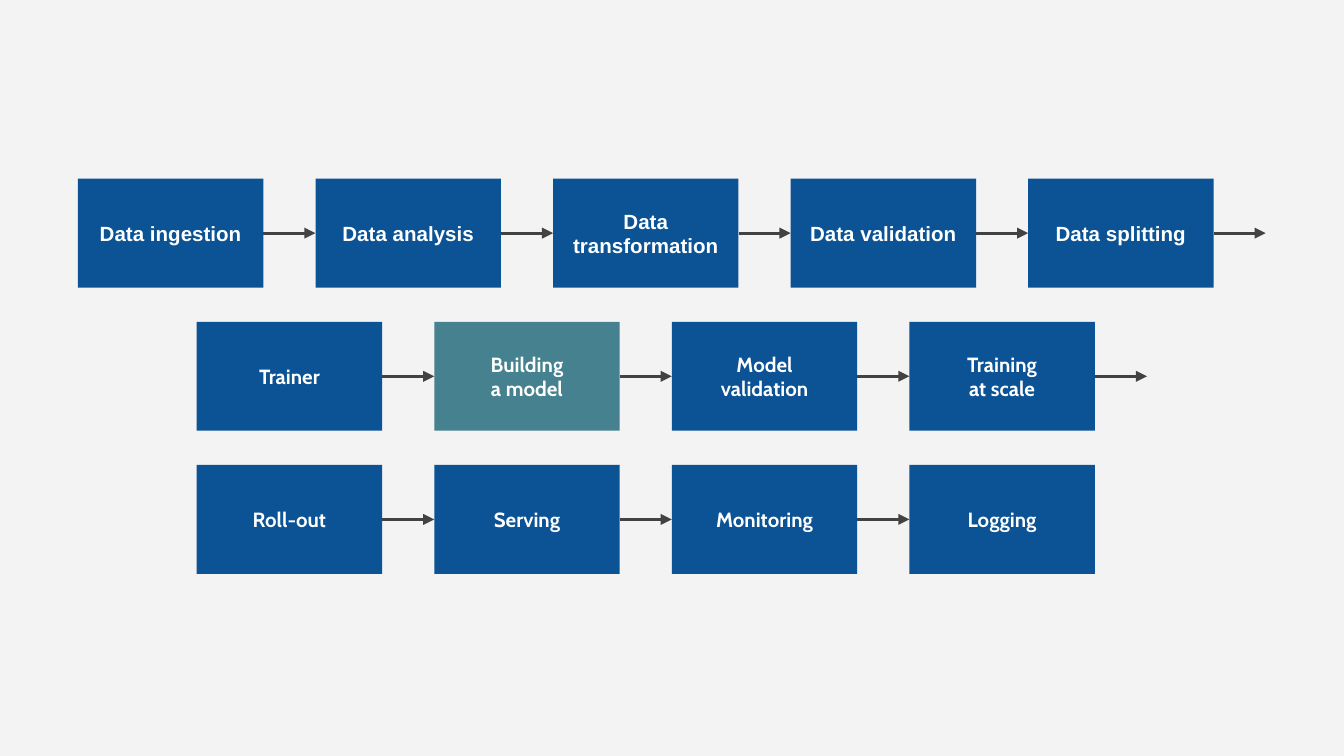
from pptx import Presentation
from pptx.dml.color import RGBColor
from pptx.enum.shapes import MSO_CONNECTOR as Connector, MSO_SHAPE as Shape
from pptx.enum.text import MSO_ANCHOR as Anchor, PP_ALIGN as Align
from pptx.oxml.ns import qn
from pptx.util import Inches, Pt
from lxml.etree import SubElement

BACKGROUND = RGBColor(0xF3, 0xF3, 0xF3)
BLUE = RGBColor(0x0B, 0x53, 0x94)
TEAL = RGBColor(0x45, 0x81, 0x8E)
WHITE = RGBColor(0xFF, 0xFF, 0xFF)
GRAY = RGBColor(0x42, 0x42, 0x42)

CURRENT_STEP = "Building\na model"
STAGES = [
    (0, "Arial", True, ["Data ingestion", "Data analysis", "Data transformation",
                        "Data validation", "Data splitting"]),
    (0.5, "Cabin", True, ["Trainer", CURRENT_STEP, "Model\nvalidation",
                          "Training\nat scale"]),
    (0.5, "Cabin", False, ["Roll-out", "Serving", "Monitoring", "Logging"]),
]


class PipelineSlide:
    """Draws steps and arrows on a grid of columns and rows."""

    left, right_column = 0.58, 7.65
    top, bottom_row = 1.33, 3.46
    column_pitch = (right_column - left) / 4
    row_pitch = (bottom_row - top) / 2
    step_width, step_height = 1.38, 0.81
    inset = Inches(0.07)
    text_size = Pt(11)

    def __init__(self, deck):
        self.slide = deck.slides.add_slide(deck.slide_layouts[6])
        fill = self.slide.background.fill
        fill.solid()
        fill.fore_color.rgb = BACKGROUND

    def corner(self, column, row):
        return self.left + column * self.column_pitch, self.top + row * self.row_pitch

    def step(self, column, row, label, font, color):
        x, y = self.corner(column, row)
        box = self.slide.shapes.add_shape(
            Shape.RECTANGLE, Inches(x), Inches(y),
            Inches(self.step_width), Inches(self.step_height))
        box.shadow.inherit = False
        box.fill.solid()
        box.fill.fore_color.rgb = color
        box.line.fill.background()
        frame = box.text_frame
        frame.word_wrap = True
        frame.vertical_anchor = Anchor.MIDDLE
        frame.margin_left = frame.margin_right = self.inset
        frame.margin_top = frame.margin_bottom = self.inset
        paragraph = frame.paragraphs[0]
        paragraph.alignment = Align.CENTER
        for index, words in enumerate(label.split("\n")):
            if index:
                paragraph.add_line_break()
            run = paragraph.add_run()
            run.text = words
            run.font.name = font
            run.font.size = self.text_size
            run.font.bold = True
            run.font.color.rgb = WHITE

    def arrow(self, column, row):
        x, y = self.corner(column, row)
        middle = Inches(y + self.step_height / 2)
        link = self.slide.shapes.add_connector(
            Connector.STRAIGHT, Inches(x + self.step_width), middle,
            Inches(x + self.column_pitch), middle)
        link.line.color.rgb = GRAY
        link.line.width = Pt(1.5)
        properties = link._element.spPr
        SubElement(properties.find(qn("a:ln")), qn("a:tailEnd"), type="triangle")
        SubElement(properties, qn("a:effectLst"))


def main():
    deck = Presentation()
    deck.slide_width, deck.slide_height = Pt(720), Pt(405)
    pipeline = PipelineSlide(deck)
    for row, (offset, font, continues, labels) in enumerate(STAGES):
        for index, label in enumerate(labels):
            column = offset + index
            color = TEAL if label == CURRENT_STEP else BLUE
            pipeline.step(column, row, label, font, color)
            if continues or index < len(labels) - 1:
                pipeline.arrow(column, row)
    deck.save("out.pptx")


if __name__ == "__main__":
    main()
